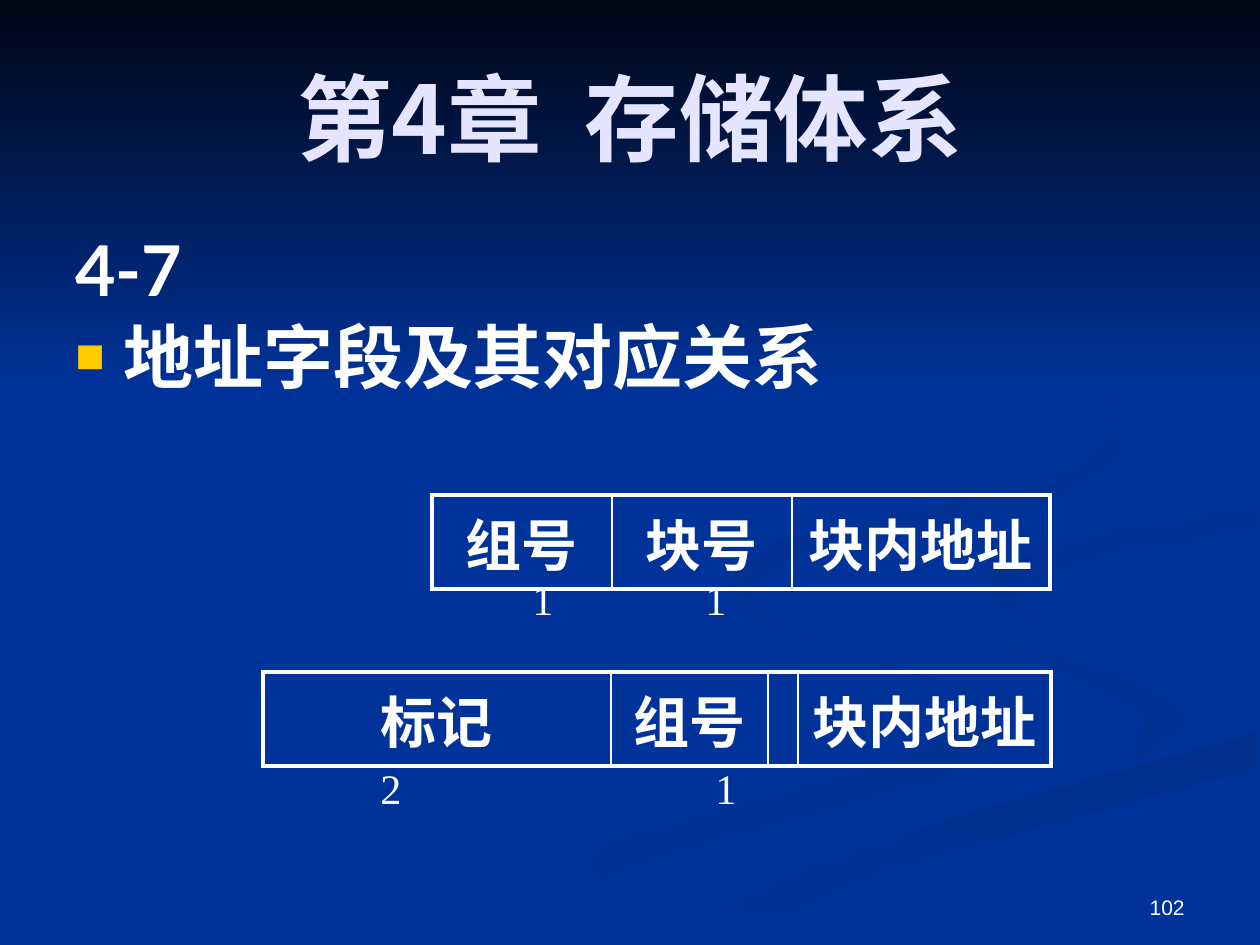
"""Build a slide on address fields: title, heading, two field tables and bit counts."""
from lxml import etree
from pptx import Presentation
from pptx.dml.color import RGBColor
from pptx.enum.text import MSO_ANCHOR, PP_ALIGN
from pptx.oxml.ns import qn
from pptx.util import Pt

PX = 914400 / 126
LEFT, MID, RIGHT = PP_ALIGN.LEFT, PP_ALIGN.CENTER, PP_ALIGN.RIGHT
TOP, CORE, BASE = MSO_ANCHOR.TOP, MSO_ANCHOR.MIDDLE, MSO_ANCHOR.BOTTOM
WHITE = RGBColor(0xFF, 0xFF, 0xFF)
LILAC = RGBColor(0xE5, 0xE5, 0xFF)
GOLD = RGBColor(0xFF, 0xCC, 0x00)
BLUE = RGBColor(0x00, 0x33, 0x99)
NIGHT = RGBColor(0x00, 0x05, 0x14)
DUSK = RGBColor(0x00, 0x31, 0x93)
DEEP = RGBColor(0x00, 0x2F, 0x8C)
SHADE = RGBColor(0x00, 0x30, 0x91)
DIM = RGBColor(0x00, 0x2F, 0x8E)
CJK = "Noto Sans CJK SC"

HEAD = {"size": Pt(54), "name": CJK, "bold": True}
BODY = {"size": Pt(40), "name": "Lato", "bold": True}
CELL = {"size": Pt(32), "name": "Lato", "bold": True}
BITS = {"size": Pt(24), "name": "Times New Roman", "bold": False}
PAGE = {"size": Pt(12), "name": "Arial", "bold": False}

SWIRLS = [
    (BLUE, DUSK, 0, [
        (984, 697), (859, 654), (748, 611), (725, 578), (738, 614), (856, 654),
        (978, 697), (987, 722), (862, 772), (577, 850), (378, 944), (455, 944),
        (629, 866), (953, 774), (1007, 732)]),
    (BLUE, DUSK, 315, [
        (1188, 718), (1140, 680), (975, 634), (912, 585), (930, 618), (1076, 679),
        (1148, 714), (1126, 762), (1174, 742)]),
    (DEEP, BLUE, 270, [
        (634, 944), (719, 944), (876, 872), (1257, 767), (1257, 732), (963, 815),
        (794, 873)]),
    (BLUE, BLUE, 0, [
        (914, 585), (975, 634), (1140, 680), (1188, 718), (1148, 756), (887, 825),
        (601, 944), (634, 944), (794, 873), (963, 815), (1259, 732), (1259, 678),
        (1048, 627), (984, 583), (1036, 547), (1259, 507), (1259, 488), (951, 544)]),
    (SHADE, BLUE, 315, [
        (984, 580), (1004, 609), (1041, 625), (1014, 595), (1082, 558), (1257, 529),
        (1257, 507), (1052, 542)]),
    (DIM, BLUE, 315, [
        (861, 542), (1040, 507), (1120, 456), (1109, 387), (1007, 315), (1086, 368),
        (1120, 422), (1085, 466), (961, 501), (775, 541), (727, 582), (784, 630),
        (747, 592), (786, 559)]),
    (NIGHT, BLUE, 270, [(0, 0), (0, 388), (1260, 388), (1260, 0)]),
]
TEXTS = [
    ((903, 861, 294, 65), ["102"], PAGE, WHITE, RIGHT, BASE, True),
    ((63, 38, 1134, 157), ["第4章  存储体系"], HEAD, LILAC, MID, CORE, True),
    ((63, 220, 1134, 624), ["4-7", "地址字段及其对应关系"], BODY, WHITE, LEFT, TOP, True),
]
COUNTS = [(520, 567, "1"), (693, 567, "1"), (368, 756, "2"), (703, 756, "1")]
TEXTS += [((x, y, 47, 63), [bit], BITS, WHITE, LEFT, TOP, False) for x, y, bit in COUNTS]
TABLES = [
    (432, 495, [("组号", 180), ("块号", 180), ("块内地址", 258)]),
    (263, 672, [("标记", 348), ("组号", 157), ("", 29), ("块内地址", 253)]),
]


def write(para, text, form, tint, align):
    para.alignment = align
    run = para.add_run()
    run.text = text
    for key, val in form.items():
        setattr(run.font, key, val)
    run.font.color.rgb = tint
    etree.SubElement(run.font._element, qn("a:ea"), typeface=CJK)


def edge(cell, sides):
    props = cell._tc.get_or_add_tcPr()
    for spot, (side, width) in enumerate(sides.items()):
        line = etree.Element(qn("a:ln" + side), w=str(Pt(width)))
        fill = etree.SubElement(line, qn("a:solidFill"))
        etree.SubElement(fill, qn("a:srgbClr"), val=str(WHITE))
        props.insert(spot, line)


deck = Presentation()
deck.slide_width, deck.slide_height = round(1260 * PX), round(945 * PX)
slide = deck.slides.add_slide(deck.slide_layouts[6])
slide.background.fill.solid()
slide.background.fill.fore_color.rgb = BLUE
shapes = slide.shapes

for first, last, angle, dots in SWIRLS:
    pen = shapes.build_freeform(*dots[0], scale=PX)
    pen.add_line_segments(dots[1:], close=True)
    swirl = pen.convert_to_shape()
    swirl.shadow.inherit = False
    swirl.line.fill.background()
    swirl.fill.gradient()
    swirl.fill.gradient_angle = angle
    for stop, tint in zip(swirl.fill.gradient_stops, (first, last)):
        stop.color.rgb = tint

for area, lines, form, tint, align, anchor, wrap in TEXTS:
    frame = shapes.add_textbox(*[round(n * PX) for n in area]).text_frame
    frame.word_wrap = wrap
    frame.vertical_anchor = anchor
    for row, text in enumerate(lines):
        para = frame.add_paragraph() if row else frame.paragraphs[0]
        write(para, text, form, tint, align)
        if row:
            para.space_before = Pt(2)
            props = para._p.get_or_add_pPr()
            props.set("marL", str(round(48 * PX)))
            props.set("indent", str(round(-48 * PX)))
            mark = etree.SubElement(props, qn("a:buClr"))
            etree.SubElement(mark, qn("a:srgbClr"), val=str(GOLD))
            etree.SubElement(props, qn("a:buSzPct"), val="70000")
            etree.SubElement(props, qn("a:buFont"), typeface="Arial")
            etree.SubElement(props, qn("a:buChar"), char="■")

for left, top, fields in TABLES:
    wide = sum(width for _, width in fields)
    area = [round(n * PX) for n in (left, top, wide, 94)]
    table = shapes.add_table(1, len(fields), *area).table
    table.first_row = table.horz_banding = False
    end = len(fields) - 1
    for col, (text, width) in enumerate(fields):
        table.columns[col].width = round(width * PX)
        cell = table.cell(0, col)
        cell.fill.background()
        edge(cell, {"L": 1 if col else 2.25, "R": 1 if col < end else 2.25,
                    "T": 2.25, "B": 2.25})
        if text:
            write(cell.text_frame.paragraphs[0], text, CELL, WHITE, MID)

deck.save("out.pptx")
